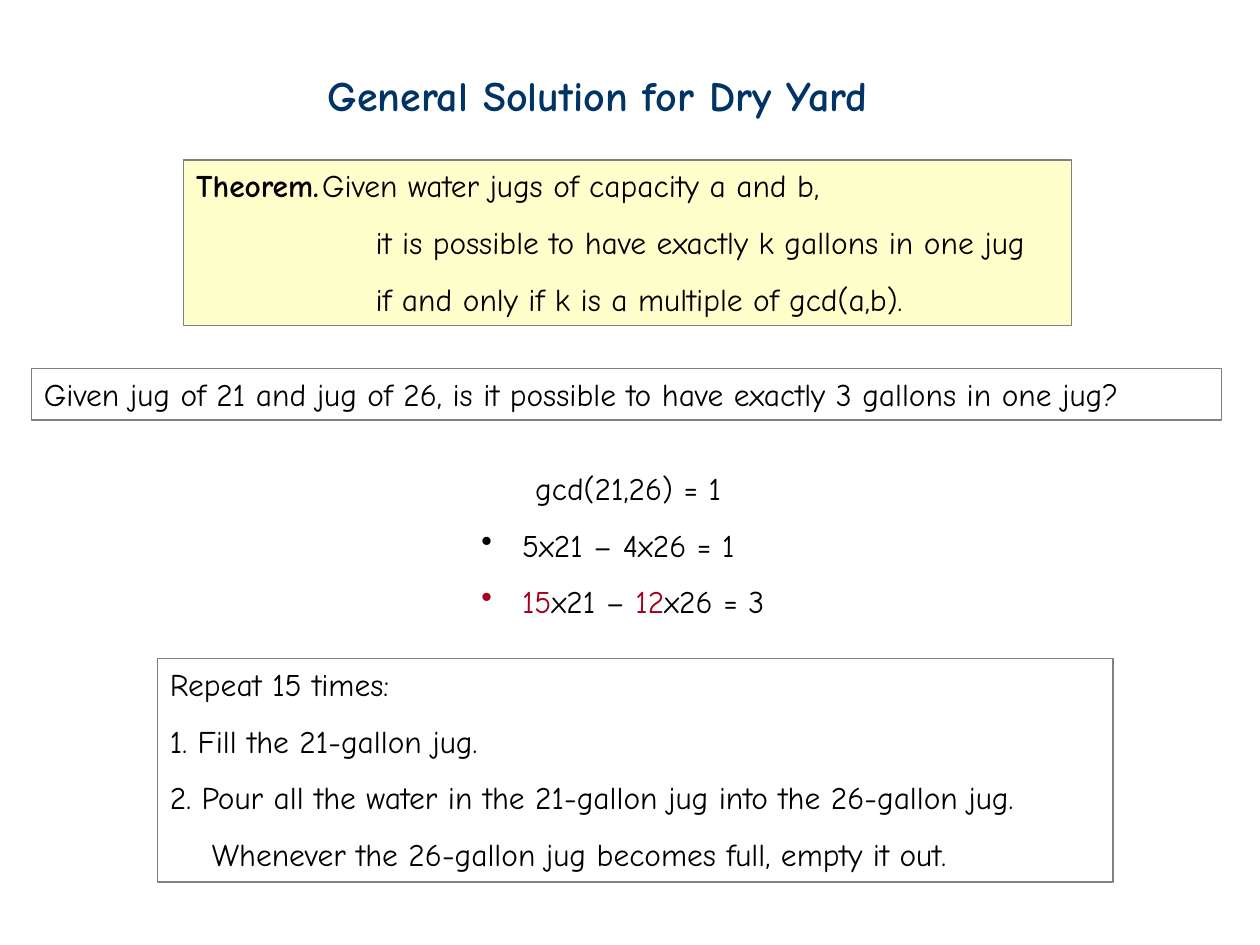
from pptx import Presentation
from pptx.dml.color import RGBColor
from pptx.enum.shapes import MSO_SHAPE
from pptx.enum.text import MSO_ANCHOR, MSO_AUTO_SIZE, PP_ALIGN
from pptx.util import Pt
from lxml.etree import SubElement
from pptx.oxml.ns import qn

FONT = "Comic Neue"
COLORS = {"text": "000000", "title": "003366", "accent": "A50021",
          "border": "808080", "theorem": "FFFFCC"}

TITLE = ("General Solution for Dry Yard", (180, 36, 366.5, 36))
TAB = 82
BULLET = 23.25

BLOCKS = [
    {"at": (105, 91.5, 507.5, 94.5), "border": True, "fill": "theorem", "lines": [
        (0, "", [("Theorem.", "bold"), ("\tGiven water jugs of capacity a and b,", "")]),
        (102.5, "", [("it is possible to have exactly k gallons in one jug", "")]),
        (102.5, "", [("if and only if k is a multiple of gcd(a,b).", "")])]},
    {"at": (18, 210.5, 680, 29.5), "border": True, "lines": [
        (0, "", [("Given jug of 21 and jug of 26, is it possible to have "
                  "exactly 3 gallons in one jug?", "")])]},
    {"at": (268, 264.5, 188, 93.5), "lines": [
        (30.75, "", [("gcd(21,26) = 1", "")]),
        (BULLET, "•", [("5x21 – 4x26 = 1", "")]),
        (BULLET, "•", [("15", "accent"), ("x21 – ", ""),
                       ("12", "accent"), ("x26 = 3", "")])]},
    {"at": (90, 376.5, 546, 127.5), "border": True, "lines": [
        (0, "", [("Repeat 15 times:", "")]),
        (0, "", [("1. Fill the 21-gallon jug.", "")]),
        (0, "", [("2. Pour all the water in the 21-gallon jug into the "
                  "26-gallon jug.", "")]),
        (24, "", [("Whenever the 26-gallon jug becomes full, empty it out.", "")])]},
]


def rgb(name):
    return RGBColor.from_string(COLORS[name])


def style(r, size, color, bold=False):
    r.font.name, r.font.size, r.font.bold = FONT, Pt(size), bold
    r.font.color.rgb = rgb(color)


def set_frame(tf):
    tf.word_wrap = True
    tf.auto_size = MSO_AUTO_SIZE.NONE
    tf.vertical_anchor = MSO_ANCHOR.TOP


def set_indent(p, left, bullet, tabbed):
    pPr = p._p.get_or_add_pPr()
    pPr.set("marL", str(Pt(left)))
    pPr.set("indent", str(-Pt(left) if bullet else 0))
    if bullet:
        SubElement(pPr, qn("a:buChar"), char=bullet)
    if tabbed:
        tabs = SubElement(pPr, qn("a:tabLst"))
        SubElement(tabs, qn("a:tab"), pos=str(Pt(TAB)), algn="l")


def add_block(s, block):
    at = [Pt(v) for v in block["at"]]
    if block.get("border"):
        sp = s.shapes.add_shape(MSO_SHAPE.RECTANGLE, *at)
        sp.shadow.inherit = False
        sp.line.color.rgb = rgb("border")
        sp.line.width = Pt(0.75)
        if "fill" in block:
            sp.fill.solid()
            sp.fill.fore_color.rgb = rgb(block["fill"])
        else:
            sp.fill.background()
    else:
        sp = s.shapes.add_textbox(*at)
    tf = sp.text_frame
    set_frame(tf)
    for i, (left, bullet, runs) in enumerate(block["lines"]):
        p = tf.add_paragraph() if i else tf.paragraphs[0]
        p.alignment = PP_ALIGN.LEFT
        if i:
            p.line_spacing = 1.5
        set_indent(p, left, bullet, any("\t" in text for text, _ in runs))
        for text, look in runs:
            r = p.add_run()
            r.text = text
            style(r, 18, "accent" if look == "accent" else "text", look == "bold")


def main():
    prs = Presentation()
    prs.slide_width, prs.slide_height = Pt(720), Pt(540)
    s = prs.slides.add_slide(prs.slide_layouts[5])
    title = s.shapes.title
    title.left, title.top, title.width, title.height = [Pt(v) for v in TITLE[1]]
    tf = title.text_frame
    tf.text = TITLE[0]
    set_frame(tf)
    p = tf.paragraphs[0]
    p.alignment = PP_ALIGN.LEFT
    style(p.runs[0], 24, "title", True)
    for block in BLOCKS:
        add_block(s, block)
    prs.save("out.pptx")


if __name__ == "__main__":
    main()
